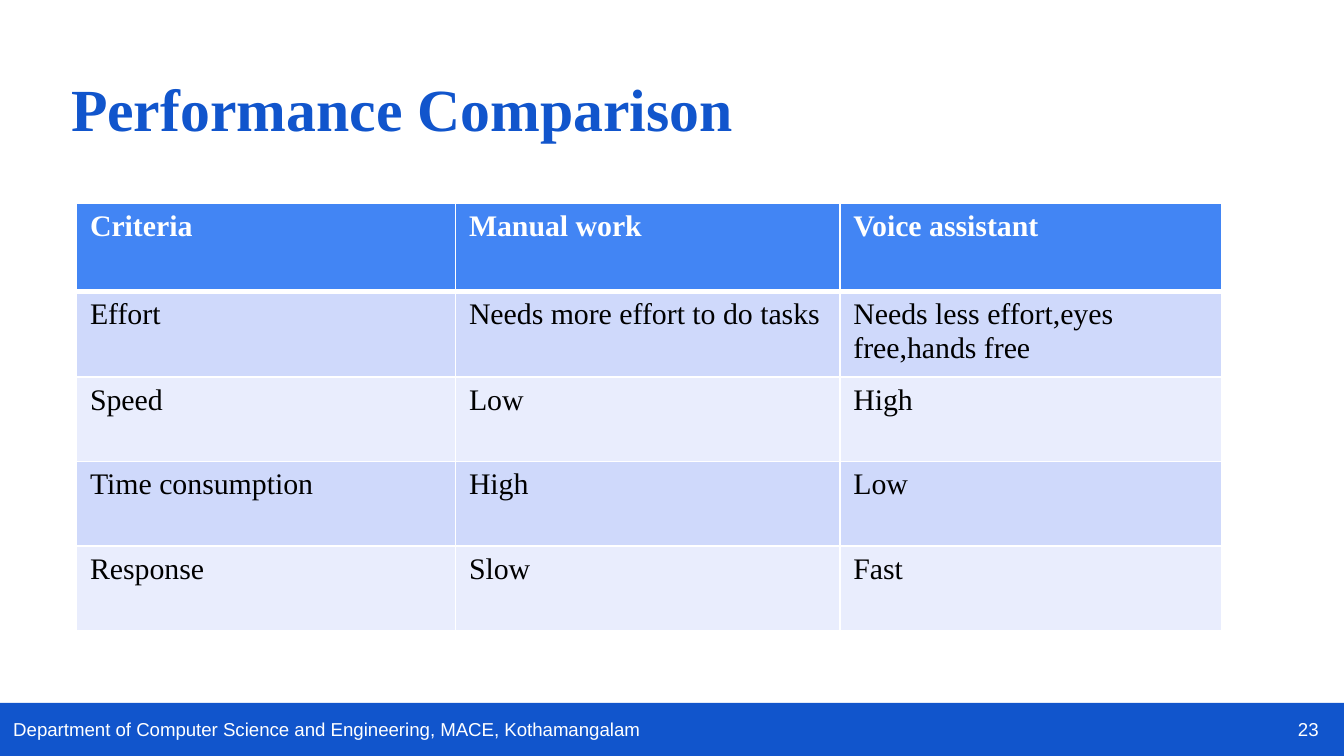
"""Build the performance comparison slide with its table and footer."""
from lxml import etree
from pptx import Presentation
from pptx import util as u
from pptx.dml.color import RGBColor
from pptx.enum import shapes, text
from pptx.oxml import ns

COLORS = {"blue": "1155CC", "header": "4285F4", "dark_band": "CFD9FB",
          "light_band": "E9EDFD", "white": "FFFFFF", "black": "000000"}
ROWS = [
    ("Criteria", "Manual work", "Voice assistant"),
    ("Effort", "Needs more effort to do tasks", "Needs less effort,eyes free,hands free"),
    ("Speed", "Low", "High"),
    ("Time consumption", "High", "Low"),
    ("Response", "Slow", "Fast"),
]
COL_WIDTHS = [2.82, 2.86, 2.84]
ROW_HEIGHTS = [0.66, 0.63, 0.63, 0.63, 0.63]


def write(tf, words, color, align=text.PP_ALIGN.LEFT, **font):
    p = tf.paragraphs[0]
    p.alignment = align
    r = p.add_run()
    r.text = words
    r.font.color.rgb = RGBColor.from_string(COLORS[color])
    for name, value in font.items():
        setattr(r.font, name, value)


def add_border(cell, side, points):
    ln = etree.SubElement(cell._tc.get_or_add_tcPr(), ns.qn(f"a:{side}"), w=str(u.Pt(points)))
    fill = etree.SubElement(ln, ns.qn("a:solidFill"))
    etree.SubElement(fill, ns.qn("a:srgbClr"), val=COLORS["white"])


prs = Presentation()
prs.slide_width = u.Inches(10)
prs.slide_height = prs.slide_width * 9 // 16
s = prs.slides.add_slide(prs.slide_layouts[6])

bar_top = u.Inches(5.23)
bar = s.shapes.add_shape(shapes.MSO_SHAPE.RECTANGLE, 0, bar_top,
                         prs.slide_width, prs.slide_height - bar_top)
bar.shadow.inherit = False
bar.fill.solid()
bar.fill.fore_color.rgb = RGBColor.from_string(COLORS["blue"])
bar.line.fill.background()

small = {"name": "Arial", "size": u.Pt(10)}
large = {"name": "Times New Roman", "size": u.Pt(32), "bold": True}
left, right = text.PP_ALIGN.LEFT, text.PP_ALIGN.RIGHT
top, middle, bottom = text.MSO_ANCHOR.TOP, text.MSO_ANCHOR.MIDDLE, text.MSO_ANCHOR.BOTTOM
for box, words, color, align, anchor, font in [
    ((0, 5.26, 7.48, 0.37), "Department of Computer Science and Engineering, MACE, Kothamangalam",
     "white", left, top, small),
    ((9.31, 5.21, 0.6, 0.43), "23", "white", right, middle, small),
    ((0.43, -0.08, 5.59, 1.25), "Performance Comparison", "blue", left, bottom, large),
]:
    sp = s.shapes.add_textbox(*map(u.Inches, box))
    tf = sp.text_frame
    settings = {"word_wrap": True, "vertical_anchor": anchor}
    settings.update({f"margin_{side}": u.Inches(0.1) for side in ("left", "top", "right", "bottom")})
    for name, value in settings.items():
        setattr(tf, name, value)
    write(tf, words, color, align, **font)

table = s.shapes.add_table(
    len(ROWS), len(COL_WIDTHS), u.Inches(0.57), u.Inches(1.51),
    u.Inches(sum(COL_WIDTHS)), u.Inches(sum(ROW_HEIGHTS))).table
for col, width in zip(table.columns, COL_WIDTHS):
    col.width = u.Inches(width)
for i, (row, height) in enumerate(zip(ROWS, ROW_HEIGHTS)):
    table.rows[i].height = u.Inches(height)
    is_header = i == 0
    band = "header" if is_header else "dark_band" if i % 2 else "light_band"
    for j, words in enumerate(row):
        cell = table.cell(i, j)
        for side in ("lnL", "lnR", "lnT", "lnB"):
            thick = (is_header and side == "lnB") or (i == 1 and side == "lnT")
            add_border(cell, side, 3 if thick else 1)
        cell.fill.solid()
        cell.fill.fore_color.rgb = RGBColor.from_string(COLORS[band])
        write(cell.text_frame, words, "white" if is_header else "black",
              name="Times New Roman", size=u.Pt(16), bold=is_header)

prs.save("out.pptx")
